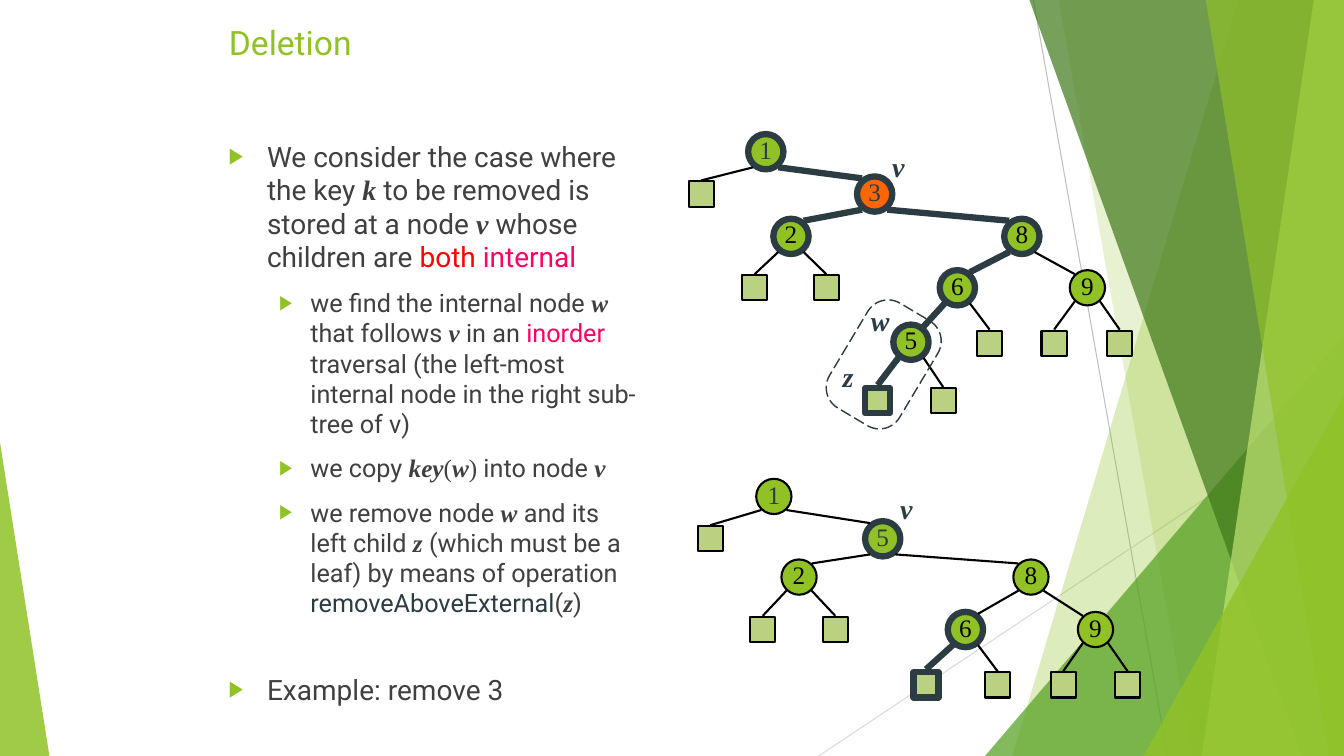
from dataclasses import dataclass

from lxml.etree import SubElement
from pptx import Presentation
from pptx.dml.color import RGBColor
from pptx.enum.dml import MSO_LINE
from pptx.enum.shapes import MSO_CONNECTOR, MSO_SHAPE
from pptx.enum.text import MSO_ANCHOR, PP_ALIGN
from pptx.oxml.ns import qn
from pptx.util import Inches, Pt

GREEN, LEAF_GREEN, ORANGE = "90C226", "B9D181", "FF6600"
SLATE, BLACK, GREY = "2C3C43", "000000", "404040"
SANS, SERIF = "Roboto", "Times New Roman"
NODE_SIZE, LEAF_SIZE = 0.35, 0.25
CORNER = 0.125

STYLES = {
    "plain": (SANS, False, GREY),
    "math": (SERIF, True, GREY),
    "roman": (SERIF, False, GREY),
    "red": (SANS, False, "FF0000"),
    "pink": (SANS, False, "FF0066"),
    "slate": (SANS, False, SLATE),
}

BODY = [
    (0, 0, [("We consider the case where the key ", "plain"), ("k", "math"),
            (" to be removed is stored at a node ", "plain"), ("v", "math"),
            (" whose children are ", "plain"), ("both ", "red"), ("internal", "pink")]),
    (1, 10, [("we find the internal node ", "plain"), ("w ", "math"),
             ("that follows ", "plain"), ("v", "math"), (" in an ", "plain"),
             ("inorder", "pink"),
             (" traversal (the left-most internal node in the right sub-tree of v)", "plain")]),
    (1, 10, [("we copy ", "plain"), ("key", "math"), ("(", "roman"), ("w", "math"),
             (")", "roman"), (" into node ", "plain"), ("v", "math")]),
    (1, 10, [("we remove node ", "plain"), ("w ", "math"),
             ("and its left child ", "plain"), ("z ", "math"),
             ("(which must be a leaf) by means of operation ", "plain"),
             ("removeAboveExternal", "slate"), ("(", "plain"), ("z", "math"),
             (")", "plain")]),
    (0, 39, [("Example: remove 3", "plain")]),
]


@dataclass
class Node:
    """A tree node; one without a key is an external leaf."""
    left: float
    top: float
    key: str = ""
    bold: bool = False
    children: tuple = ()
    color: str = GREEN

    @property
    def size(self):
        """Side of the node's box."""
        return NODE_SIZE if self.key else LEAF_SIZE

    @property
    def center(self):
        """Horizontal middle of the node."""
        return self.left + self.size / 2

    @property
    def gap(self):
        """Distance that an edge keeps from the node's outline."""
        return 0.03 if self.bold else 0.01


BEFORE = Node(7.42, 1.33, "1", True, (
    Node(6.83, 1.8),
    Node(8.5, 1.75, "3", True, (
        Node(7.67, 2.17, "2", True, (Node(7.36, 2.73), Node(8.07, 2.73))),
        Node(9.96, 2.17, "8", True, (
            Node(9.32, 2.68, "6", True, (
                Node(8.86, 3.22, "5", True, (Node(8.58, 3.85, bold=True), Node(9.23, 3.85))),
                Node(9.69, 3.28))),
            Node(10.61, 2.68, "9", False, (Node(10.33, 3.28), Node(10.98, 3.28))))),
    ), ORANGE)))

AFTER = Node(7.5, 4.75, "1", False, (
    Node(6.92, 5.22),
    Node(8.58, 5.17, "5", True, (
        Node(7.75, 5.55, "2", False, (Node(7.44, 6.12), Node(8.16, 6.12))),
        Node(10.05, 5.55, "8", False, (
            Node(9.4, 6.07, "6", True, (Node(9.06, 6.67, bold=True), Node(9.77, 6.67))),
            Node(10.69, 6.07, "9", False, (Node(10.42, 6.67), Node(11.06, 6.67))))))),
))


def paint(color_format, color):
    """Set a colour from a hex string."""
    color_format.rgb = RGBColor.from_string(color)


def fill_shape(shape, color, opacity=100):
    """Give a shape a flat fill without outline or shadow."""
    shape.shadow.inherit = False
    shape.line.fill.background()
    shape.fill.solid()
    paint(shape.fill.fore_color, color)
    if opacity < 100:
        tint = shape.fill._xPr.find(qn("a:solidFill"))[0]
        SubElement(tint, qn("a:alpha"), val=str(opacity * 1000))


def outline(line, color, width):
    """Set the colour and width of a line."""
    paint(line.color, color)
    line.width = Pt(width)


def add_line(slide, start, end, color, width):
    """Draw a straight line between two points."""
    line = slide.shapes.add_connector(
        MSO_CONNECTOR.STRAIGHT, *(Inches(value) for value in (*start, *end)))
    outline(line.line, color, width)
    SubElement(line._element.spPr, qn("a:effectLst"))


def add_facet(slide, points, color, opacity):
    """Draw a translucent polygon."""
    corners = [(Inches(x), Inches(y)) for x, y in points]
    builder = slide.shapes.build_freeform(*corners[0])
    builder.add_line_segments(corners[1:], close=True)
    fill_shape(builder.convert_to_shape(), color, opacity)


def add_triangle(slide, box, apex, color, opacity):
    """Draw a translucent triangle with its apex at one side."""
    triangle = slide.shapes.add_shape(
        MSO_SHAPE.ISOSCELES_TRIANGLE, *(Inches(value) for value in box))
    triangle.adjustments[0] = apex
    fill_shape(triangle, color, opacity)


def add_facets(slide):
    """Draw the green facets at the slide's edges."""
    def band(top_left, bottom_left, color, opacity):
        add_facet(slide, [(top_left, 0), (13.33, 0), (13.33, 7.5), (bottom_left, 7.5)],
                  color, opacity)

    add_line(slide, (10.25, 0), (11.58, 7.5), "BFBFBF", 0.75)
    add_line(slide, (13.33, 4.03), (8.12, 7.5), "D9D9D9", 0.75)
    band(12.28, 10.04, GREEN, 30)
    band(10.5, 11.83, GREEN, 20)
    add_triangle(slide, (9.77, 3.33, 3.56, 4.17), 1, "54A021", 72)
    band(10.21, 12.91, "3F7819", 70)
    band(13.03, 11.92, "C0E474", 70)
    band(11.96, 13.18, GREEN, 65)
    add_triangle(slide, (11.34, 3.93, 1.99, 3.57), 1, GREEN, 80)
    add_triangle(slide, (0, 4.39, 0.49, 3.11), 0, GREEN, 85)


def style_font(font, size, name, color, slanted=False):
    """Set a font; slanted text is bold italic."""
    font.size, font.name = Pt(size), name
    font.bold = font.italic = slanted
    paint(font.color, color)


def add_title(slide, text):
    """Place and format the title."""
    title = slide.shapes.title
    title.left, title.top, title.width, title.height = (
        Inches(value) for value in (2.17, 0.17, 9, 0.75))
    title.text_frame.text = text
    title.text_frame.vertical_anchor = MSO_ANCHOR.TOP
    paragraph = title.text_frame.paragraphs[0]
    paragraph.alignment = PP_ALIGN.LEFT
    style_font(paragraph.runs[0].font, 24, SANS, GREEN)


def add_bullet(paragraph, level):
    """Give a paragraph its indent and green arrow bullet."""
    margin, hanging = ((0.38, 0.38), (0.81, 0.31))[level]
    properties = paragraph._p.get_or_add_pPr()
    properties.set("marL", str(Inches(margin)))
    properties.set("indent", str(-Inches(hanging)))
    tint = SubElement(properties, qn("a:buClr"))
    SubElement(tint, qn("a:srgbClr"), val=GREEN)
    SubElement(properties, qn("a:buSzPct"), val="80000")
    SubElement(properties, qn("a:buFont"), typeface=SANS)
    SubElement(properties, qn("a:buChar"), char="▶")


def add_body(slide):
    """Write the bulleted explanation."""
    frame = slide.shapes.add_textbox(
        Inches(2.17), Inches(1.33), Inches(4.25), Inches(5.42)).text_frame
    frame.word_wrap = True
    for index, (level, space, pieces) in enumerate(BODY):
        paragraph = frame.add_paragraph() if index else frame.paragraphs[0]
        paragraph.level = level
        add_bullet(paragraph, level)
        paragraph.space_before = Pt(space)
        for text, style in pieces:
            name, slanted, color = STYLES[style]
            run = paragraph.add_run()
            run.text = text
            style_font(run.font, 18 if level else 20, name, color, slanted)


def add_node(slide, node, depth):
    """Draw a keyed circle or a square leaf."""
    kind = MSO_SHAPE.OVAL if node.key else MSO_SHAPE.RECTANGLE
    shape = slide.shapes.add_shape(
        kind, Inches(node.left), Inches(node.top), Inches(node.size), Inches(node.size))
    fill_shape(shape, node.color if node.key else LEAF_GREEN)
    outline(shape.line, *((SLATE, 4.5) if node.bold else (BLACK, 1.5)))
    if node.key:
        frame = shape.text_frame
        frame.text = node.key
        frame.word_wrap = False
        frame.vertical_anchor = MSO_ANCHOR.MIDDLE
        frame.margin_left = frame.margin_right = frame.margin_top = 0
        frame.margin_bottom = Inches(0.05)
        frame.paragraphs[0].alignment = PP_ALIGN.CENTER
        style_font(frame.paragraphs[0].runs[0].font, 18, SERIF, SLATE if depth < 2 else BLACK)


def add_edge(slide, parent, child):
    """Join a parent's lower corner to its child."""
    side = 1 if child.center > parent.center else -1
    middle = NODE_SIZE / 2
    start = (parent.center + side * CORNER, parent.top + middle + CORNER + parent.gap)
    if child.key:
        end = (child.center - side * CORNER, child.top + middle - CORNER - child.gap)
    else:
        end = (child.center, child.top - child.gap)
    add_line(slide, start, end, *((SLATE, 4.5) if parent.bold and child.bold else (BLACK, 1.5)))


def add_tree(slide, node, depth=0):
    """Draw a node and everything below it."""
    add_node(slide, node, depth)
    for child in node.children:
        add_tree(slide, child, depth + 1)
        add_edge(slide, node, child)


def add_label(slide, text, left, top, width):
    """Write a node's name beside it."""
    frame = slide.shapes.add_textbox(
        Inches(left), Inches(top), Inches(width), Inches(0.43)).text_frame
    frame.text = text
    frame.word_wrap = False
    style_font(frame.paragraphs[0].runs[0].font, 20, SERIF, SLATE, True)


def add_removed_region(slide):
    """Draw the dashed outline round w and z."""
    region = slide.shapes.add_shape(
        MSO_SHAPE.ROUNDED_RECTANGLE, Inches(8.16), Inches(3.21), Inches(1.21), Inches(0.81))
    region.adjustments[0] = 0.29
    region.rotation = 300.8
    region.shadow.inherit = False
    region.fill.background()
    outline(region.line, SLATE, 1)
    region.line.dash_style = MSO_LINE.LONG_DASH


def main():
    """Build the slide and save it."""
    deck = Presentation()
    deck.slide_width, deck.slide_height = Inches(13.33), Inches(7.5)
    slide = deck.slides.add_slide(deck.slide_layouts[5])
    add_facets(slide)
    add_title(slide, "Deletion")
    add_body(slide)
    add_tree(slide, BEFORE)
    add_tree(slide, AFTER)
    add_label(slide, "v", 8.75, 1.43, 0.32)
    add_label(slide, "w", 8.54, 2.96, 0.39)
    add_label(slide, "z", 8.26, 3.52, 0.31)
    add_label(slide, "v", 8.83, 4.83, 0.32)
    add_removed_region(slide)
    deck.save("out.pptx")


if __name__ == "__main__":
    main()
